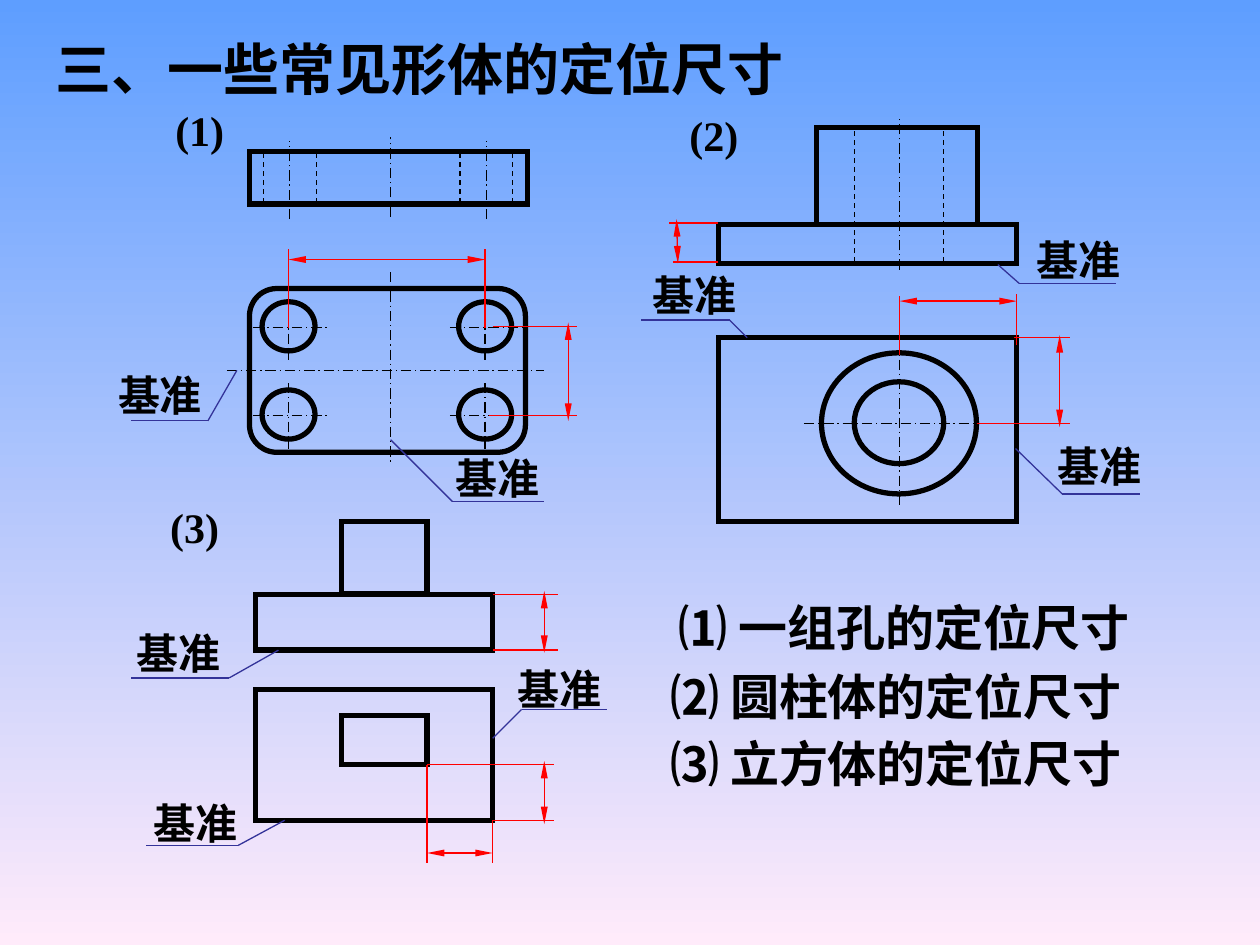
from typing import NamedTuple

from lxml.etree import SubElement
from pptx import Presentation
from pptx.dml.color import RGBColor
from pptx.enum.dml import MSO_LINE
from pptx.enum.shapes import MSO_CONNECTOR, MSO_SHAPE
from pptx.enum.text import MSO_ANCHOR, PP_ALIGN
from pptx.oxml.ns import qn
from pptx.util import Inches, Pt

BLACK = RGBColor(0x00, 0x00, 0x00)
RED = RGBColor(0xFF, 0x00, 0x00)
NAVY = RGBColor(0x33, 0x33, 0x99)
SKY = RGBColor(0x5E, 0x9E, 0xFF)
PINK = RGBColor(0xFF, 0xEB, 0xFA)

RECT, ROUNDED, OVAL = MSO_SHAPE.RECTANGLE, MSO_SHAPE.ROUNDED_RECTANGLE, MSO_SHAPE.OVAL
CENTRE, HIDDEN = MSO_LINE.LONG_DASH_DOT, MSO_LINE.DASH


class Outline(NamedTuple):
    left: float
    top: float
    width: float
    height: float
    kind: MSO_SHAPE = RECT


class Segment(NamedTuple):
    x1: float
    y1: float
    x2: float
    y2: float
    color: RGBColor = BLACK
    dash: MSO_LINE | None = None
    arrows: bool = False


class Datum(NamedTuple):
    """Datum label with its leader: tip on the part, elbow, end of the underline."""
    label_x: float
    label_y: float
    tip: tuple[float, float]
    elbow: tuple[float, float]
    end_x: float


class Label(NamedTuple):
    text: str
    left: float
    top: float
    width: float
    height: float
    size: int
    font: str = "Arial"
    align: PP_ALIGN = PP_ALIGN.CENTER
    wrap: bool = True


DATUM_W = 1.04
HOLE_W, HOLE_H = 0.42, 0.39
HOLES = [(x, y) for x in (2.29, 3.85) for y in (2.59, 3.29)]

OUTLINES = [
    # (1) plate with four holes
    Outline(1.98, 1.2, 2.21, 0.42),
    Outline(1.98, 2.29, 2.19, 1.3, ROUNDED),
    *(Outline(x - HOLE_W / 2, y - HOLE_H / 2, HOLE_W, HOLE_H, OVAL) for x, y in HOLES),
    # (2) cylinder on a plate
    Outline(5.7, 1.78, 2.37, 0.31),
    Outline(6.48, 1.01, 1.28, 0.77),
    Outline(5.7, 2.68, 2.37, 1.46),
    Outline(6.52, 2.8, 1.23, 1.12, OVAL),
    Outline(6.78, 3.03, 0.71, 0.65, OVAL),
    # (3) block on a plate
    Outline(2.03, 4.72, 1.88, 0.44),
    Outline(2.71, 4.14, 0.68, 0.57),
    Outline(2.03, 5.47, 1.88, 1.04),
    Outline(2.71, 5.68, 0.68, 0.39),
]

AXES = [
    *(Segment(x - 0.28, y + 0.01, x + 0.32, y + 0.01, BLACK, CENTRE) for x, y in HOLES),
    *(Segment(x, y - 0.25, x, y + 0.27, BLACK, CENTRE) for x, y in HOLES),
    Segment(1.8, 2.94, 4.32, 2.94, BLACK, CENTRE),
    Segment(3.1, 2.16, 3.1, 3.67, BLACK, CENTRE),
    Segment(3.1, 1.72, 3.1, 1.09, BLACK, CENTRE),
    *(Segment(x, 1.74, x, 1.12, BLACK, CENTRE) for x in (2.3, 3.86)),
    *(Segment(x, 1.61, x, 1.2, BLACK, HIDDEN) for x in (2.09, 2.51, 3.65, 4.07)),
    Segment(6.38, 3.36, 7.89, 3.36, BLACK, CENTRE),
    Segment(7.14, 2.7, 7.14, 4.01, BLACK, CENTRE),
    Segment(7.14, 2.14, 7.14, 0.92, BLACK, CENTRE),
    *(Segment(x, 2.08, x, 1.01, BLACK, HIDDEN) for x in (6.78, 7.49)),
]

EXTENSIONS = [
    Segment(*ends, RED) for ends in [
        (2.29, 2.6, 2.29, 1.98), (3.85, 2.6, 3.85, 1.98),
        (3.91, 2.59, 4.58, 2.59), (3.88, 3.3, 4.58, 3.3),
        (7.14, 2.82, 7.14, 2.35), (8.07, 2.74, 8.07, 2.33),
        (7.75, 3.36, 8.49, 3.36), (8.05, 2.68, 8.49, 2.68),
        (5.7, 1.77, 5.31, 1.77), (5.7, 2.08, 5.34, 2.08),
        (3.91, 4.72, 4.43, 4.72), (3.91, 5.16, 4.43, 5.16),
        (3.39, 6.07, 3.39, 6.85), (3.91, 6.51, 3.91, 6.85),
        (3.39, 6.07, 4.4, 6.07), (3.91, 6.51, 4.4, 6.51),
    ]
]

DIMENSIONS = [
    Segment(*ends, RED, arrows=True) for ends in [
        (2.29, 2.06, 3.85, 2.06), (4.51, 2.56, 4.51, 3.34),
        (7.14, 2.39, 8.07, 2.39), (8.41, 2.66, 8.41, 3.39), (5.37, 1.74, 5.38, 2.09),
        (4.32, 4.69, 4.32, 5.18), (3.39, 6.77, 3.91, 6.77), (4.32, 6.04, 4.32, 6.54),
    ]
]

DATUMS = [
    Datum(1.27, 2.88, (1.88, 2.94), (1.65, 3.34), 1.04),
    Datum(3.95, 3.54, (3.1, 3.49), (3.59, 3.98), 4.32),
    Datum(8.56, 1.81, (7.92, 2.1), (8.09, 2.25), 8.86),
    Datum(5.51, 2.09, (5.93, 2.68), (5.79, 2.54), 5.09),
    Datum(8.73, 3.45, (8.06, 3.56), (8.43, 3.92), 9.05),
    Datum(1.42, 4.93, (2.21, 5.16), (1.82, 5.38), 1.04),
    Datum(4.44, 5.22, (3.91, 5.86), (4.14, 5.63), 4.82),
    Datum(1.55, 6.28, (2.26, 6.51), (1.89, 6.71), 1.16),
]

TITLE = Label("三、一些常见形体的定位尺寸", 0.34, 0.22, 6.56, 0.64, 32, align=PP_ALIGN.LEFT)
LABELS = [
    Label("(1)", 1.29, 0.78, 0.59, 0.5, 24, "Times New Roman", wrap=False),
    Label("(2)", 5.37, 0.82, 0.59, 0.5, 24, "Times New Roman", wrap=False),
    Label("(3)", 1.25, 3.93, 0.59, 0.5, 24, "Times New Roman", wrap=False),
    Label("⑴ 一组孔的定位尺寸", 5.08, 4.69, 4.19, 0.57, 28),
    Label("⑵ 圆柱体的定位尺寸", 5.22, 5.24, 4.03, 0.57, 28, align=PP_ALIGN.LEFT),
    Label("⑶ 立方体的定位尺寸", 5.22, 5.77, 4.03, 0.57, 28, align=PP_ALIGN.LEFT),
]


def write_label(sp, label: Label) -> None:
    sp.left, sp.top = Inches(label.left), Inches(label.top)
    sp.width, sp.height = Inches(label.width), Inches(label.height)
    tf = sp.text_frame
    tf.text = label.text
    tf.word_wrap = label.wrap
    tf.vertical_anchor = MSO_ANCHOR.MIDDLE
    p = tf.paragraphs[0]
    p.alignment = label.align
    font = p.runs[0].font
    font.name, font.size, font.bold = label.font, Pt(label.size), True
    font.color.rgb = BLACK


def add_label(s, label: Label) -> None:
    write_label(s.shapes.add_textbox(0, 0, 0, 0), label)


def add_outline(s, o: Outline) -> None:
    sp = s.shapes.add_shape(o.kind, Inches(o.left), Inches(o.top),
                            Inches(o.width), Inches(o.height))
    sp.shadow.inherit = False
    sp.fill.background()
    sp.line.color.rgb = BLACK
    sp.line.width = Pt(3)
    SubElement(sp.line._get_or_add_ln(), qn("a:miter"), lim="800000")


def add_segment(s, seg: Segment) -> None:
    c = s.shapes.add_connector(MSO_CONNECTOR.STRAIGHT, Inches(seg.x1), Inches(seg.y1),
                               Inches(seg.x2), Inches(seg.y2))
    c.line.color.rgb = seg.color
    c.line.width = Pt(0.75)
    if seg.dash:
        c.line.dash_style = seg.dash
    if seg.arrows:
        ln = c.line._get_or_add_ln()
        for end in ("a:headEnd", "a:tailEnd"):
            SubElement(ln, qn(end), type="triangle", w="sm", len="lg")
    SubElement(c._element.spPr, qn("a:effectLst"))


def add_datum(s, d: Datum) -> None:
    add_segment(s, Segment(*d.tip, *d.elbow, NAVY))
    add_segment(s, Segment(*d.elbow, d.end_x, d.elbow[1], NAVY))
    add_label(s, Label("基准", d.label_x - DATUM_W / 2, d.label_y, DATUM_W, 0.5, 24))


def main() -> None:
    prs = Presentation()
    prs.slide_width, prs.slide_height = Inches(10), Inches(7.5)
    s = prs.slides.add_slide(prs.slide_layouts[5])
    fill = s.background.fill
    fill.gradient()
    fill.gradient_angle = 270
    for stop, color in zip(fill.gradient_stops, (SKY, PINK)):
        stop.color.rgb = color

    write_label(s.shapes.title, TITLE)
    for outline in OUTLINES:
        add_outline(s, outline)
    for segment in AXES + EXTENSIONS + DIMENSIONS:
        add_segment(s, segment)
    for datum in DATUMS:
        add_datum(s, datum)
    for label in LABELS:
        add_label(s, label)
    prs.save("out.pptx")


if __name__ == "__main__":
    main()
